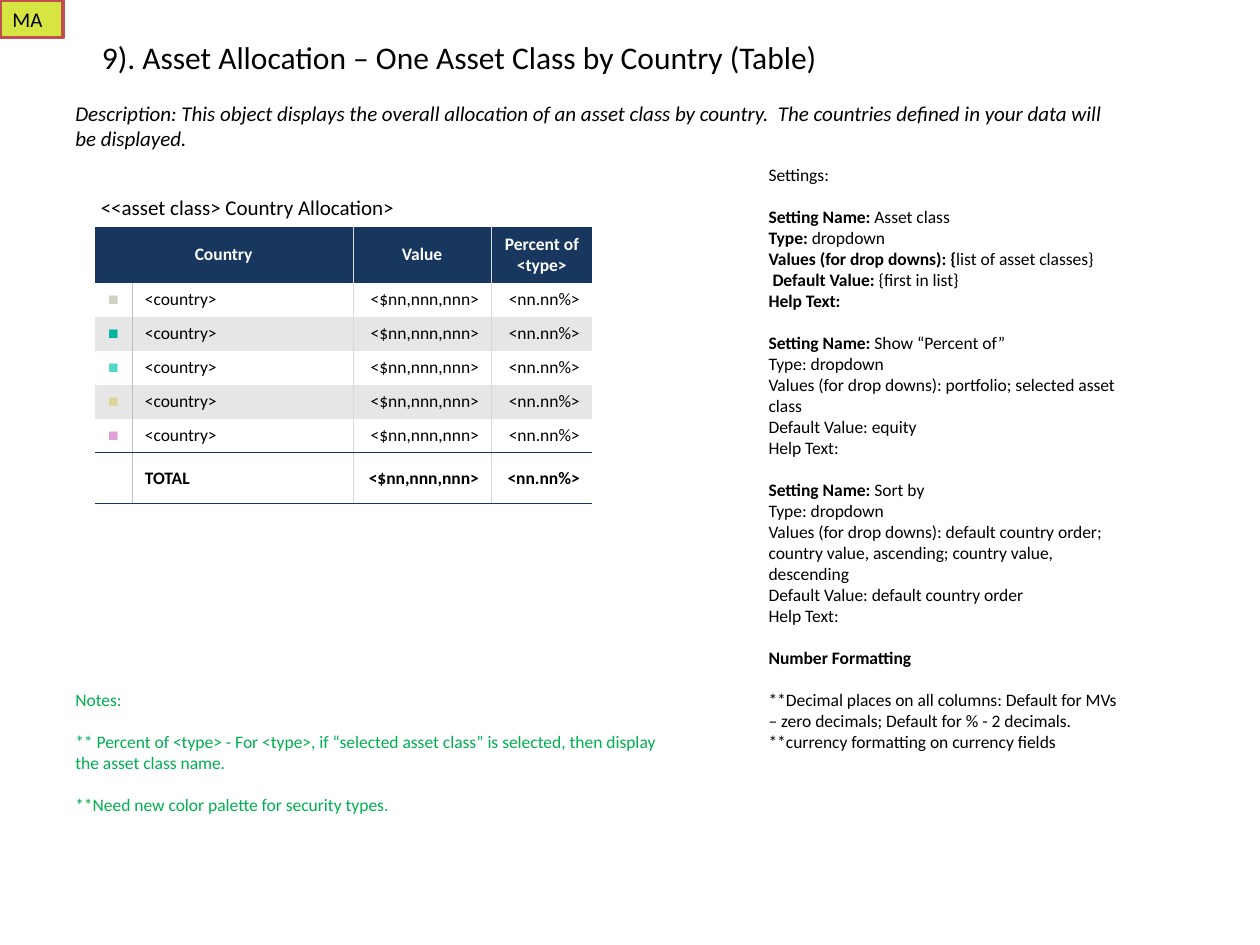
from lxml.etree import SubElement
from pptx import Presentation
from pptx.dml.color import RGBColor
from pptx.enum.shapes import MSO_SHAPE
from pptx.enum.text import MSO_ANCHOR, MSO_AUTO_SIZE, PP_ALIGN
from pptx.oxml.ns import qn
from pptx.util import Pt

BLACK = RGBColor(0, 0, 0)
WHITE = RGBColor(255, 255, 255)
NAVY = RGBColor(0x17, 0x37, 0x5E)
BAND = RGBColor(0xE6, 0xE6, 0xE6)
GRID = RGBColor(0xD9, 0xD9, 0xD9)
KEY_GRID = RGBColor(0xBF, 0xBF, 0xBF)
GREEN = RGBColor(0, 0xB0, 0x50)
LIME = RGBColor(0xD6, 0xE5, 0x42)
RED = RGBColor(0xC0, 0x50, 0x4D)
COUNTRY_COLORS = [
    RGBColor(0xD1, 0xD1, 0xC6),
    RGBColor(0x00, 0xB2, 0xA0),
    RGBColor(0x56, 0xD6, 0xC9),
    RGBColor(0xDD, 0xD6, 0x9B),
    RGBColor(0xE2, 0x9E, 0xD6),
]

COLUMN_WIDTHS = [21.6, 126, 79.2, 57.6]
COUNTRY_ROW = 19.44
ROW_HEIGHTS = [21.6, 31.68] + [COUNTRY_ROW] * len(COUNTRY_COLORS) + [28.8]
CAPTION_ROW, HEADER_ROW, TOTAL_ROW = 0, 1, len(ROW_HEIGHTS) - 1
ALIGNMENTS = [PP_ALIGN.CENTER, PP_ALIGN.LEFT, PP_ALIGN.RIGHT, PP_ALIGN.RIGHT]

SETTINGS = [
    ["|Settings:"],
    [
        "Setting Name:| Asset class",
        "Type:| dropdown",
        "Values (for drop downs): {|list of asset classes}",
        " Default Value:| {first in list}",
        "Help Text:|",
    ],
    [
        "Setting Name:| Show “Percent of”",
        "|Type: dropdown",
        "|Values (for drop downs): portfolio; selected asset class",
        "|Default Value: equity",
        "|Help Text:",
    ],
    [
        "Setting Name:| Sort by",
        "|Type: dropdown",
        "|Values (for drop downs): default country order; country value, ascending; "
        "country value, descending",
        "|Default Value: default country order",
        "|Help Text:",
    ],
    ["Number Formatting|"],
    [
        "|**Decimal places on all columns: Default for MVs – zero decimals; "
        "Default for % - 2 decimals.",
        "|**currency formatting on currency fields",
    ],
]
NOTES = [
    ["|Notes:"],
    [
        "|** Percent of <type> - For <type>, if “selected asset class” is selected, "
        "then display the asset class name."
    ],
    ["|**Need new color palette for security types."],
]


class SlideBuilder:
    font_name = "Calibri"
    group_gap = 12

    def __init__(self, slide):
        self.slide = slide

    def style(self, span, size, color=BLACK, bold=False, italic=False, name=None):
        span.font.name = name or self.font_name
        span.font.size = Pt(size)
        span.font.color.rgb = color
        span.font.bold = bold
        span.font.italic = italic

    def place(self, shape, left, top, width, height):
        shape.left, shape.top = Pt(left), Pt(top)
        shape.width, shape.height = Pt(width), Pt(height)

    def add_text(self, frame, groups, size, color=BLACK, italic=False,
                 anchor=MSO_ANCHOR.TOP, wrap=True):
        frame.auto_size = MSO_AUTO_SIZE.NONE
        frame.word_wrap = wrap
        frame.vertical_anchor = anchor
        para = None
        for group in groups:
            for index, line in enumerate(group):
                gap = self.group_gap if para is not None and index == 0 else 0
                para = frame.paragraphs[0] if para is None else frame.add_paragraph()
                properties = para._p.get_or_add_pPr()
                properties.set("marL", "0")
                properties.set("indent", "0")
                SubElement(properties, qn("a:buNone"))
                para.alignment = PP_ALIGN.LEFT
                para.space_before = Pt(gap)
                strong, _, plain = line.partition("|")
                for text, bold in ((strong, True), (plain, False)):
                    if text:
                        span = para.add_run()
                        span.text = text
                        self.style(span, size, color, bold, italic)

    def placeholder(self, index, bounds, groups, size, **options):
        shape = self.slide.placeholders[index]
        self.place(shape, *bounds)
        self.add_text(shape.text_frame, groups, size, **options)

    def text_box(self, bounds, groups, size, **options):
        box = self.slide.shapes.add_textbox(*map(Pt, bounds))
        self.add_text(box.text_frame, groups, size, **options)

    def badge(self, bounds, text):
        box = self.slide.shapes.add_shape(MSO_SHAPE.RECTANGLE, *map(Pt, bounds))
        box.shadow.inherit = False
        box.fill.solid()
        box.fill.fore_color.rgb = LIME
        box.line.color.rgb = RED
        box.line.width = Pt(2)
        self.add_text(box.text_frame, [["|" + text]], 12)

    def borders(self, cell, **colors):
        properties = cell._tc.get_or_add_tcPr()
        for side in "LRTB":
            line = SubElement(properties, qn("a:ln" + side), w=str(Pt(0.23)))
            color = colors.get(side)
            if color is None:
                SubElement(line, qn("a:noFill"))
            else:
                fill = SubElement(line, qn("a:solidFill"))
                SubElement(fill, qn("a:srgbClr"), val=str(color))

    def cell(self, cell, text, alignment, fill, **font):
        cell.vertical_anchor = MSO_ANCHOR.MIDDLE
        if fill is None:
            cell.fill.background()
        else:
            cell.fill.solid()
            cell.fill.fore_color.rgb = fill
        para = cell.text_frame.paragraphs[0]
        para.text = text
        para.alignment = alignment
        for span in para.runs:
            self.style(span, **font)

    def allocation_table(self, left, top):
        frame = self.slide.shapes.add_table(
            len(ROW_HEIGHTS), len(COLUMN_WIDTHS), Pt(left), Pt(top),
            Pt(sum(COLUMN_WIDTHS)), Pt(sum(ROW_HEIGHTS)))
        table = frame.table
        table.first_row = table.horz_banding = False
        for column, width in zip(table.columns, COLUMN_WIDTHS):
            column.width = Pt(width)
        for row, height in zip(table.rows, ROW_HEIGHTS):
            row.height = Pt(height)
        values = ["<country>", "<$nn,nnn,nnn>", "<nn.nn%>"]
        contents = [["<<asset class> Country Allocation>", "", "", ""],
                    ["Country", "", "Value", "Percent of <type>"]]
        contents += [["■"] + values for _ in COUNTRY_COLORS]
        contents += [["", "TOTAL"] + values[1:]]
        for row, texts in enumerate(contents):
            for column, text in enumerate(texts):
                cell = table.cell(row, column)
                self.table_borders(cell, row, column)
                font = {"size": 10, "bold": row in (HEADER_ROW, TOTAL_ROW)}
                alignment = ALIGNMENTS[column]
                fill = BAND if HEADER_ROW < row < TOTAL_ROW and row % 2 else WHITE
                if row == CAPTION_ROW:
                    font["size"], alignment, fill = 12, PP_ALIGN.LEFT, None
                elif row == HEADER_ROW:
                    font["color"], alignment, fill = WHITE, PP_ALIGN.CENTER, NAVY
                elif row < TOTAL_ROW and column == 0:
                    font.update(color=COUNTRY_COLORS[row - 2], name="Arial")
                self.cell(cell, text, alignment, fill, **font)
        caption = table.cell(CAPTION_ROW, 0)
        caption.margin_left = Pt(3.6)
        caption.vertical_anchor = MSO_ANCHOR.BOTTOM
        caption.merge(table.cell(CAPTION_ROW, 3))
        table.cell(HEADER_ROW, 0).merge(table.cell(HEADER_ROW, 1))

    def table_borders(self, cell, row, column):
        verticals = [None, KEY_GRID, GRID, GRID, None]
        if row == CAPTION_ROW:
            verticals = [None] * 5
        elif row == HEADER_ROW:
            verticals[1] = GRID
        self.borders(cell, L=verticals[column], R=verticals[column + 1],
                     T=NAVY if row == TOTAL_ROW else None,
                     B=NAVY if row >= TOTAL_ROW - 1 else None)


def main():
    deck = Presentation()
    deck.slide_width, deck.slide_height = Pt(720), Pt(540)
    page = SlideBuilder(deck.slides.add_slide(deck.slide_layouts[1]))
    page.allocation_table(54, 108)
    page.placeholder(
        0, (51, 18, 425, 29),
        [["|9). Asset Allocation – One Asset Class by Country (Table)"]], 18, wrap=False)
    page.text_box(
        (36, 54, 612, 36),
        [["|Description: This object displays the overall allocation of an asset class "
          "by country.  The countries defined in your data will be displayed."]],
        12, italic=True, anchor=MSO_ANCHOR.MIDDLE)
    page.placeholder(1, (432, 90, 216, 380), SETTINGS, 10)
    page.badge((0, 0, 36, 21.6), "MA")
    page.text_box((36, 390, 360, 79), NOTES, 10, color=GREEN)
    deck.save("out.pptx")


if __name__ == "__main__":
    main()
